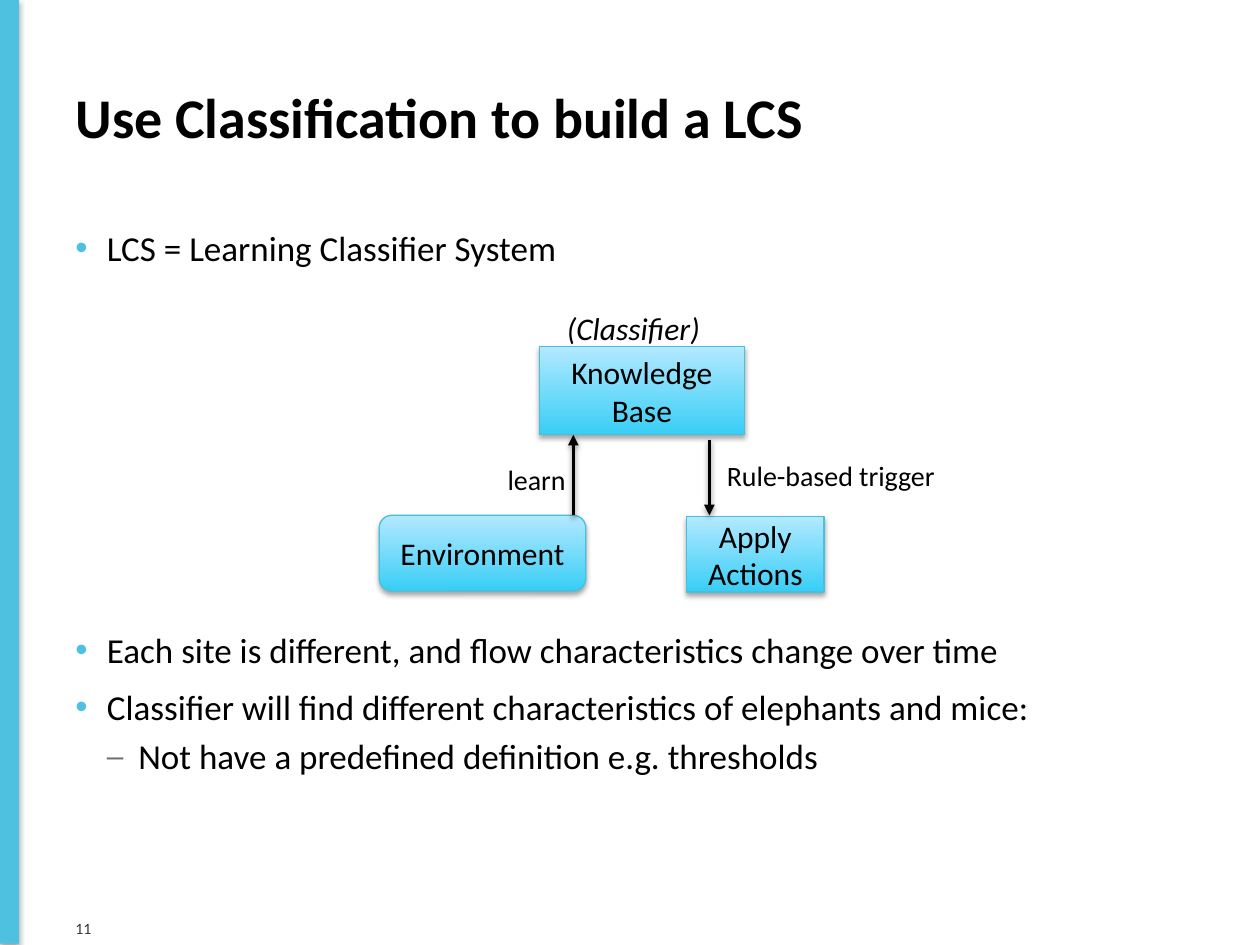
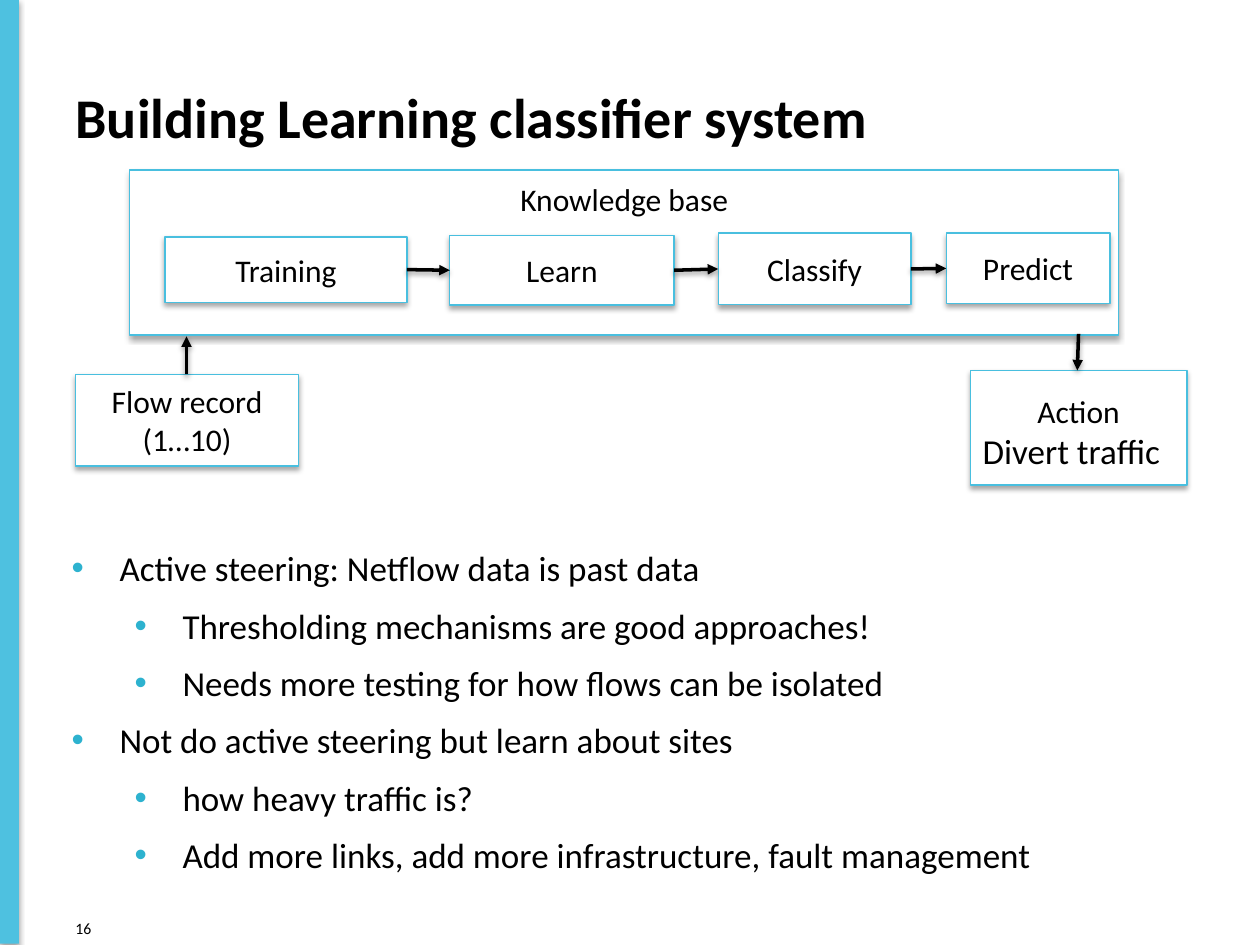
from lxml.etree import SubElement
from pptx import Presentation
from pptx.dml.color import RGBColor
from pptx.enum.shapes import MSO_CONNECTOR, MSO_SHAPE
from pptx.enum.text import MSO_ANCHOR, MSO_AUTO_SIZE, PP_ALIGN
from pptx.oxml.ns import qn
from pptx.oxml.xmlchemy import OxmlElement
from pptx.util import Inches, Pt

FONT = "Calibri"
BLACK = RGBColor(0x00, 0x00, 0x00)
WHITE = RGBColor(0xFF, 0xFF, 0xFF)
DARK_GREY = RGBColor(0x36, 0x37, 0x39)
DASH_GREY = RGBColor(0x6D, 0x6E, 0x71)
BAND_BLUE = RGBColor(0x4E, 0xC1, 0xE0)
OUTLINE_BLUE = RGBColor(0x49, 0xBF, 0xDF)
BULLET_BLUE = RGBColor(0x2D, 0xB2, 0xCF)
GRADIENT_TOP = RGBColor(0xB3, 0xE9, 0xFF)
GRADIENT_BOTTOM = RGBColor(0x38, 0xCE, 0xF6)


def write(shape, text, size, color=BLACK, align=PP_ALIGN.LEFT, anchor=MSO_ANCHOR.TOP):
    """Fill the shape with one paragraph per line of text, all in one style."""
    frame = shape.text_frame
    frame.word_wrap = True
    frame.auto_size = MSO_AUTO_SIZE.NONE
    frame.vertical_anchor = anchor
    frame.text = text
    for paragraph in frame.paragraphs:
        paragraph.alignment = align
        paragraph.font.name = FONT
        paragraph.font.size = Pt(size)
        paragraph.font.color.rgb = color
    return frame


def drop_shadow(shape, opacity, distance):
    effects = SubElement(shape._element.spPr, qn("a:effectLst"))
    shadow = SubElement(effects, qn("a:outerShdw"), blurRad=str(Pt(3.1)),
                        dist=str(Pt(distance)), dir="5400000", rotWithShape="0")
    shade = SubElement(shadow, qn("a:srgbClr"), val=str(BLACK))
    SubElement(shade, qn("a:alpha"), val=str(opacity * 1000))


prs = Presentation()
prs.slide_width, prs.slide_height = Inches(10), Inches(7.5)

# Title, side band and page number
slides = []
for heading, page, page_color in [
    ("Use Classification to build a LCS", "11", DARK_GREY),
    ("Building Learning classifier system", "16", BLACK),
]:
    slide = prs.slides.add_slide(prs.slide_layouts[5])
    slides.append(slide)

    band = slide.shapes.add_shape(MSO_SHAPE.RECTANGLE, 0, 0, Inches(0.15), Inches(7.49))
    band.fill.solid()
    band.fill.fore_color.rgb = BAND_BLUE
    band.line.fill.background()
    drop_shadow(band, 35, 1.8)

    title = slide.shapes.title
    title.left, title.top = Inches(0.5), Inches(0.3)
    title.width, title.height = Inches(9), Inches(1.25)
    write(title, heading, 32, anchor=MSO_ANCHOR.MIDDLE).paragraphs[0].font.bold = True

    page_number = slide.shapes.add_textbox(Inches(0.5), Inches(7.24), Inches(0.34), Inches(0.25))
    write(page_number, page, 9, page_color, anchor=MSO_ANCHOR.MIDDLE)

overview, pipeline = slides

# Bulleted text: level, bullet, bullet colour, bullet size %, margin, hang, space before
POINT = (0, "•", BAND_BLUE, 100, 0.25, 0.25, 8.8)
POINT_BELOW_DIAGRAM = POINT[:-1] + (205.5,)
DASH = (1, "–", DASH_GREY, 85, 0.5, 0.25, 4)
TOPIC = (0, "•", BULLET_BLUE, 100, 0.38, 0.38, 8.8)
SUBTOPIC = (1, "•", BULLET_BLUE, 100, 0.88, 0.38, 8.8)

for slide, area, points in [
    (overview, (0.5, 1.75, 9, 4.75), [
        (POINT, "LCS = Learning Classifier System"),
        (POINT_BELOW_DIAGRAM, "Each site is different, and flow characteristics change over time"),
        (POINT, "Classifier will find different characteristics of elephants and mice:"),
        (DASH, "Not have a predefined definition e.g. thresholds"),
    ]),
    (pipeline, (0.47, 4.29, 9.32, 2.75), [
        (TOPIC, "Active steering: Netflow data is past data"),
        (SUBTOPIC, "Thresholding mechanisms are good approaches!"),
        (SUBTOPIC, "Needs more testing for how flows can be isolated"),
        (TOPIC, "Not do active steering but learn about sites"),
        (SUBTOPIC, "how heavy traffic is?"),
        (SUBTOPIC, "Add more links, add more infrastructure, fault management"),
    ]),
]:
    body = slide.shapes.add_textbox(*map(Inches, area))
    frame = write(body, "\n".join(text for _, text in points), 20)
    for paragraph, (style, _) in zip(frame.paragraphs, points):
        level, bullet, bullet_color, bullet_size, margin, hang, space = style
        paragraph.level = level
        paragraph.space_before = Pt(space)
        properties = paragraph._p.get_or_add_pPr()
        properties.set("marL", str(Inches(margin)))
        properties.set("indent", str(-Inches(hang)))
        color = OxmlElement("a:buClr")
        SubElement(color, qn("a:srgbClr"), val=str(bullet_color))
        scale = OxmlElement("a:buSzPct")
        scale.set("val", str(bullet_size * 1000))
        typeface = OxmlElement("a:buFont")
        typeface.set("typeface", "Arial")
        character = OxmlElement("a:buChar")
        character.set("char", bullet)
        for part in (color, scale, typeface, character):
            properties.insert_element_before(part, "a:defRPr")

# Diagram boxes: gradient ones on the overview, white ones on the pipeline
boxes = {}
for slide, outline, area, text in [
    (overview, MSO_SHAPE.RECTANGLE, (4.28, 2.75, 1.63, 0.7), "Knowledge Base"),
    (overview, MSO_SHAPE.ROUNDED_RECTANGLE, (3.01, 4.09, 1.64, 0.6), "Environment"),
    (overview, MSO_SHAPE.RECTANGLE, (5.45, 4.1, 1.09, 0.6), "Apply Actions"),
    (pipeline, MSO_SHAPE.RECTANGLE, (1.03, 1.35, 7.85, 1.31), "Knowledge base"),
    (pipeline, MSO_SHAPE.RECTANGLE, (0.6, 2.97, 1.77, 0.73), "Flow record\n(1…10)"),
    (pipeline, MSO_SHAPE.RECTANGLE, (7.7, 2.94, 1.72, 0.91), "Action"),
    (pipeline, MSO_SHAPE.RECTANGLE, (1.31, 1.88, 1.92, 0.52), "Training"),
    (pipeline, MSO_SHAPE.RECTANGLE, (3.57, 1.87, 1.78, 0.55), "Learn"),
    (pipeline, MSO_SHAPE.RECTANGLE, (5.7, 1.85, 1.53, 0.57), "Classify"),
    (pipeline, MSO_SHAPE.RECTANGLE, (7.51, 1.85, 1.3, 0.56), "Predict"),
]:
    box = slide.shapes.add_shape(outline, *map(Inches, area))
    if slide is overview:
        box.fill.gradient()
        box.fill.gradient_angle = 270
        for stop, stop_color in zip(box.fill.gradient_stops, (GRADIENT_TOP, GRADIENT_BOTTOM)):
            stop.color.rgb = stop_color
    else:
        box.fill.solid()
        box.fill.fore_color.rgb = WHITE
    box.line.color.rgb = OUTLINE_BLUE
    box.line.width = Pt(0.75)
    drop_shadow(box, 35, 1.8)
    write(box, text, 18, align=PP_ALIGN.CENTER, anchor=MSO_ANCHOR.MIDDLE)
    boxes[text] = box

# These two captions sit near the top of their boxes
for text, margin in [("Knowledge base", 0.08), ("Action", 0.17)]:
    boxes[text].text_frame.vertical_anchor = MSO_ANCHOR.TOP
    boxes[text].text_frame.margin_top = Inches(margin)

# Arrows
arrows = [
    (overview, (4.55, 4.09), (4.55, 3.45)),
    (overview, (5.63, 3.49), (5.63, 4.09)),
    (pipeline, (1.48, 2.97), (1.48, 2.67)),
    (pipeline, (8.56, 2.65), (8.55, 2.94)),
]
steps = [boxes[name] for name in ("Training", "Learn", "Classify", "Predict")]
for step, following in zip(steps, steps[1:]):
    arrows.append((pipeline, step, following))

for slide, start, end in arrows:
    arrow = slide.shapes.add_connector(MSO_CONNECTOR.STRAIGHT, 0, 0, 0, 0)
    if start in steps:
        arrow.begin_connect(start, 3)
        arrow.end_connect(end, 1)
    else:
        arrow.begin_x, arrow.begin_y = map(Inches, start)
        arrow.end_x, arrow.end_y = map(Inches, end)
    arrow.line.color.rgb = BLACK
    arrow.line.width = Pt(2)
    SubElement(arrow._element.spPr.find(qn("a:ln")), qn("a:tailEnd"), type="triangle")
    drop_shadow(arrow, 38, 1.6)

# Labels
for slide, area, text, size, italic in [
    (overview, (3.93, 3.62, 1.12, 0.37), "learn", 16, False),
    (overview, (4.4, 2.4, 1.73, 0.4), "(Classifier)", 18, True),
    (overview, (5.67, 3.59, 1.91, 0.37), "Rule-based trigger", 16, False),
    (pipeline, (7.7, 3.36, 1.72, 0.44), "Divert traffic", 20, False),
]:
    label = slide.shapes.add_textbox(*map(Inches, area))
    write(label, text, size).paragraphs[0].font.italic = italic

prs.save("out.pptx")
